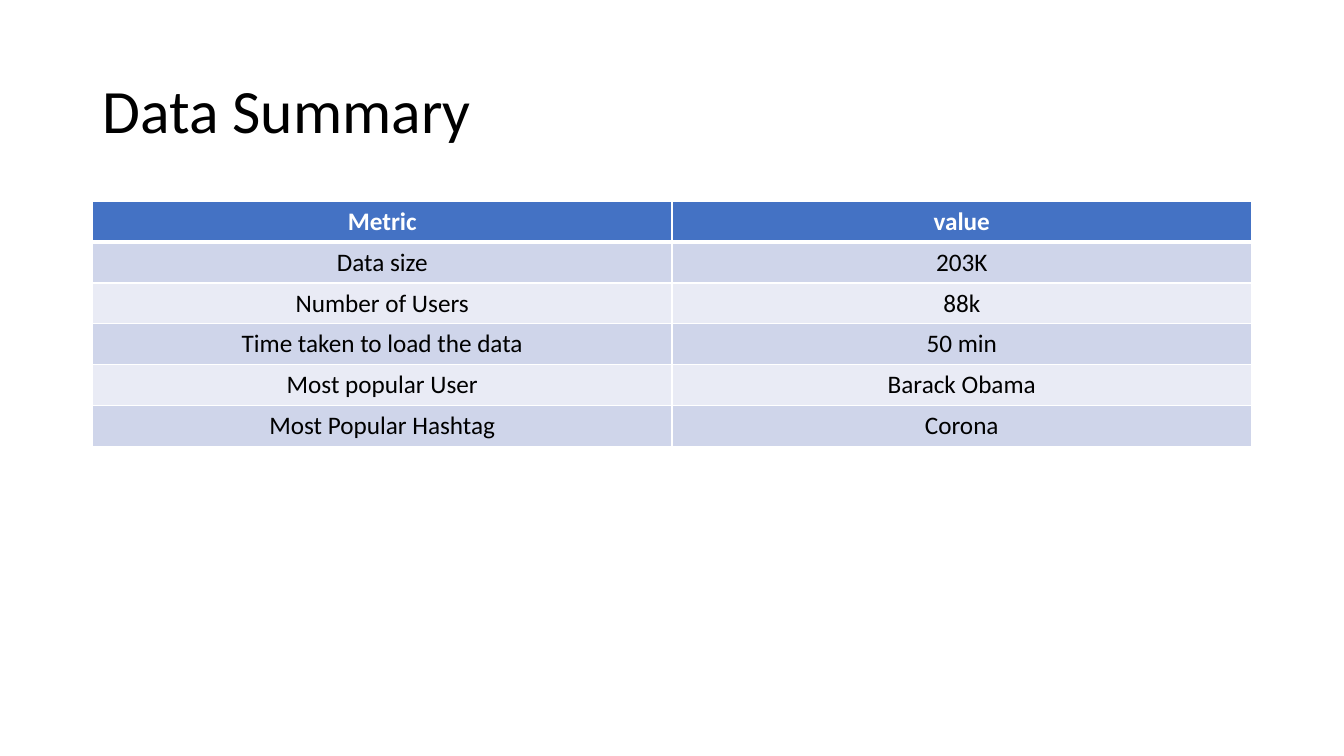
import pptx
import pptx.util
import pptx.dml.color
import pptx.enum.text
import pptx.oxml.ns
from lxml import etree
from pptx.util import Cm, Pt
from pptx.dml.color import RGBColor
from pptx.enum.text import MSO_ANCHOR, PP_ALIGN

TITLE = "Data Summary"
METRICS = [
    ("Metric", "value"),
    ("Data size", "203K"),
    ("Number of Users", "88k"),
    ("Time taken to load the data", "50 min"),
    ("Most popular User", "Barack Obama"),
    ("Most Popular Hashtag", "Corona"),
]

FONT = "Calibri"
BLACK = RGBColor(0x00, 0x00, 0x00)
WHITE = RGBColor(0xFF, 0xFF, 0xFF)
HEADER_BLUE = RGBColor(0x44, 0x72, 0xC4)
BANDS = [RGBColor(0xE9, 0xEB, 0xF5), RGBColor(0xCF, 0xD5, 0xEA)]

LEFT, WIDTH = Cm(2.33), Cm(29.21)
TITLE_TOP, TITLE_HEIGHT = Cm(1.01), Cm(3.68)
TABLE_TOP, ROW_HEIGHT = Cm(5.07), Cm(1.03)


def format_text(para, size, color, bold=False):
    for span in para.runs:
        span.font.name = FONT
        span.font.size = Pt(size)
        span.font.bold = bold
        span.font.color.rgb = color


def add_border(cell, side, points):
    properties = cell._tc.get_or_add_tcPr()
    line = etree.SubElement(properties, pptx.oxml.ns.qn(f"a:ln{side}"), w=str(Pt(points)))
    fill = etree.SubElement(line, pptx.oxml.ns.qn("a:solidFill"))
    etree.SubElement(fill, pptx.oxml.ns.qn("a:srgbClr"), val=str(WHITE))


def add_title(page):
    box = page.shapes.title
    box.left, box.top, box.width, box.height = LEFT, TITLE_TOP, WIDTH, TITLE_HEIGHT
    frame = box.text_frame
    frame.text = TITLE
    frame.word_wrap = True
    frame.vertical_anchor = MSO_ANCHOR.MIDDLE
    para = frame.paragraphs[0]
    para.alignment = PP_ALIGN.LEFT
    para.line_spacing = 0.9
    format_text(para, 44, BLACK)


def add_metrics_table(page):
    row_count, column_count = len(METRICS), len(METRICS[0])
    table = page.shapes.add_table(
        row_count, column_count, LEFT, TABLE_TOP, WIDTH, ROW_HEIGHT * row_count
    ).table
    for row_index, values in enumerate(METRICS):
        header = row_index == 0
        for column_index, value in enumerate(values):
            cell = table.cell(row_index, column_index)
            cell.text_frame.text = value
            para = cell.text_frame.paragraphs[0]
            para.alignment = PP_ALIGN.CENTER
            format_text(para, 18, WHITE if header else BLACK, header)
            for side in "LRTB":
                header_edge = (header and side == "B") or (row_index == 1 and side == "T")
                add_border(cell, side, 3 if header_edge else 1)
            cell.fill.solid()
            cell.fill.fore_color.rgb = HEADER_BLUE if header else BANDS[row_index % 2]


def main():
    deck = pptx.Presentation()
    deck.slide_width, deck.slide_height = Cm(33.87), Cm(19.05)
    page = deck.slides.add_slide(deck.slide_layouts[5])
    add_title(page)
    add_metrics_table(page)
    deck.save("out.pptx")


if __name__ == "__main__":
    main()
